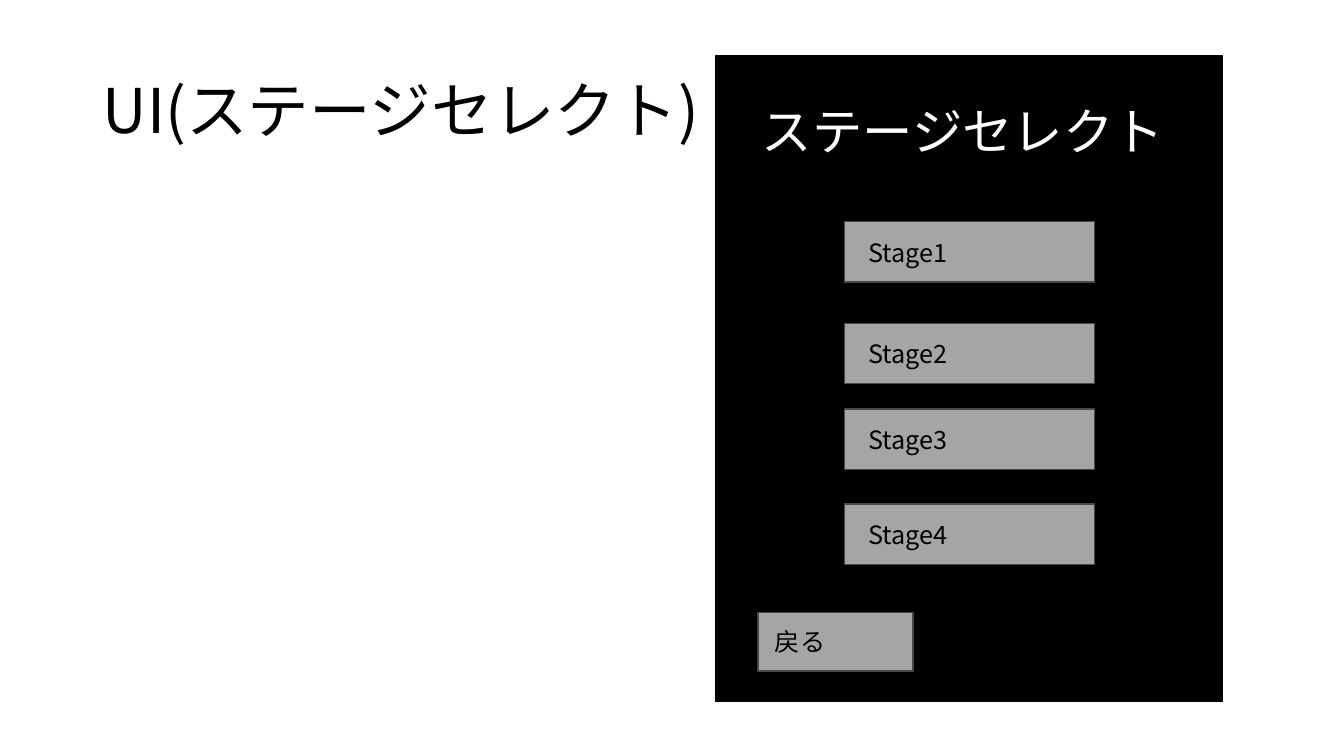
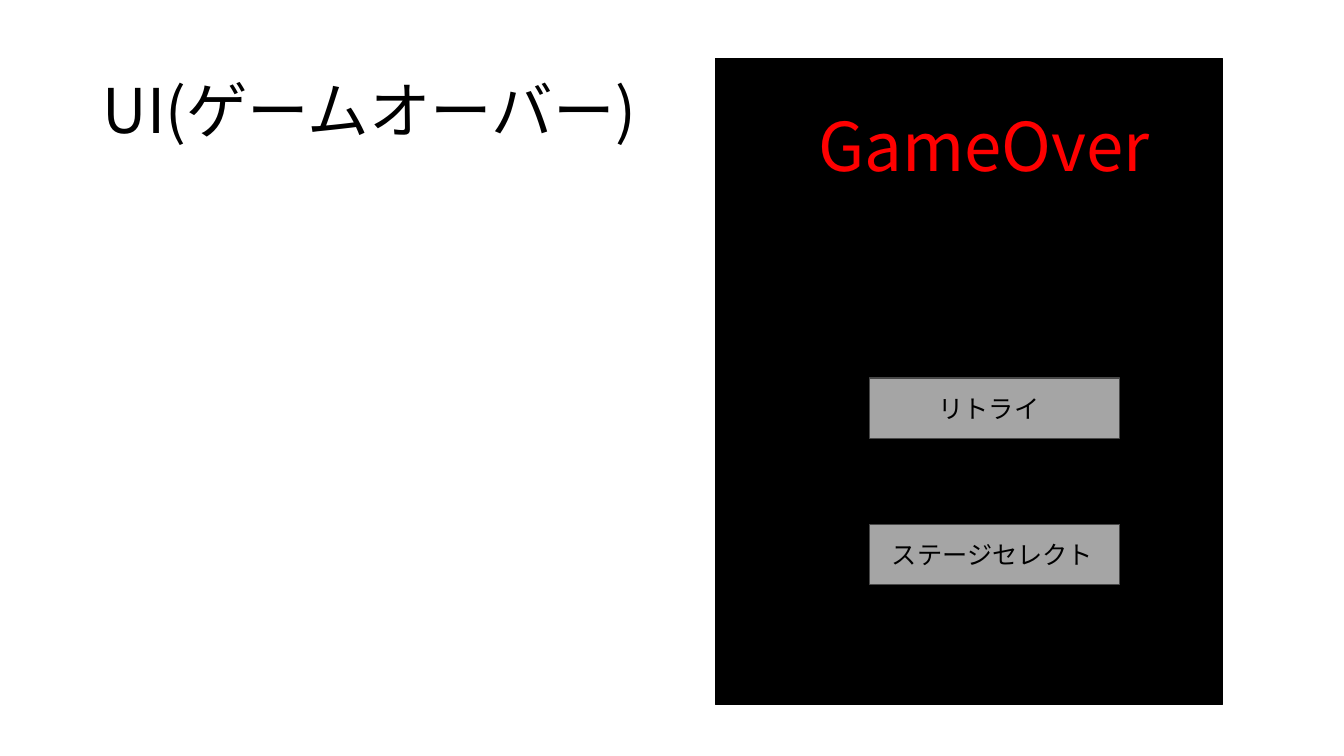
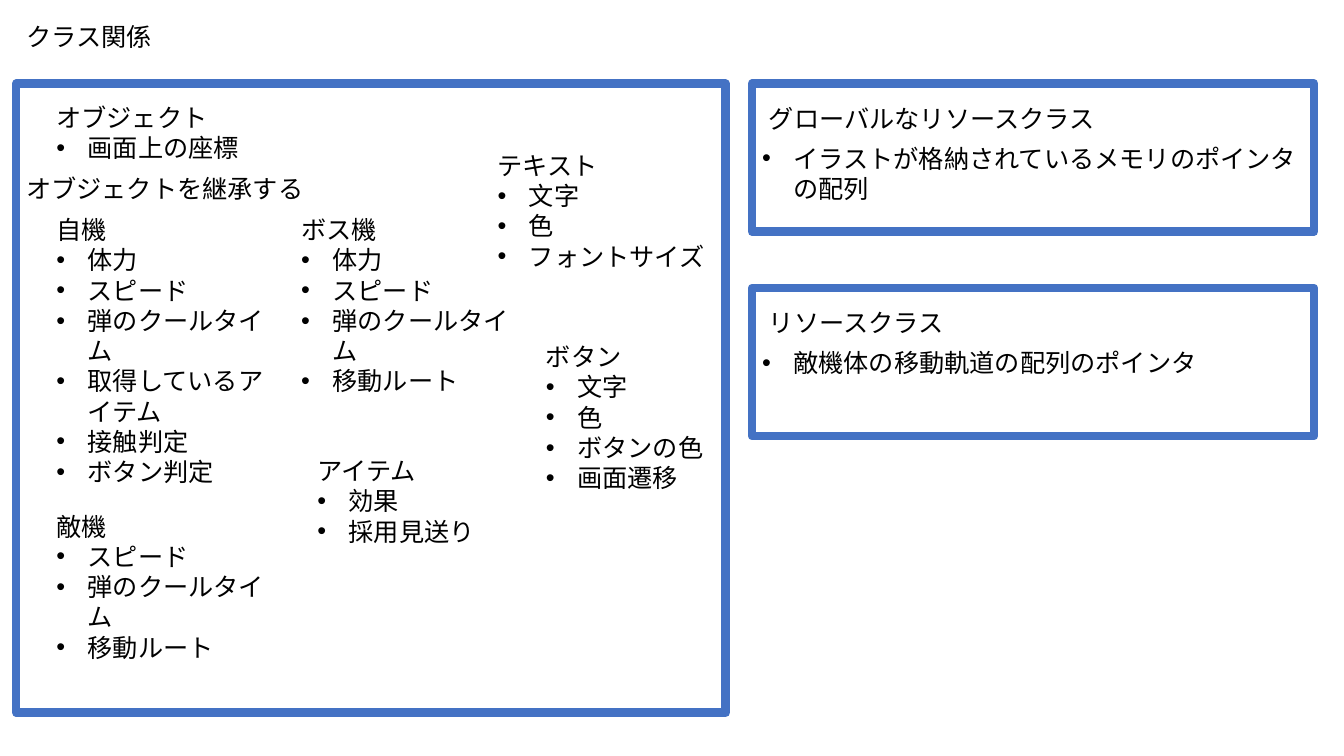
from lxml import etree
from pptx import Presentation
from pptx.dml.color import RGBColor
from pptx.enum.shapes import MSO_SHAPE
from pptx.enum.text import MSO_ANCHOR, MSO_AUTO_SIZE, PP_ALIGN
from pptx.oxml.ns import qn
from pptx.util import Cm, Pt

RECTANGLE = MSO_SHAPE.RECTANGLE
TOP, MIDDLE = MSO_ANCHOR.TOP, MSO_ANCHOR.MIDDLE
FIXED, GROW = MSO_AUTO_SIZE.NONE, MSO_AUTO_SIZE.SHAPE_TO_FIT_TEXT
LEFT = PP_ALIGN.LEFT

TITLE_ONLY, TWO_CONTENT = 5, 3
FONT = "Noto Sans CJK JP"
COLORS = {
    "text": "000000",
    "screen": "000000",
    "screen_text": "FFFFFF",
    "alert": "FF0000",
    "button": "A5A5A5",
    "button_line": "484848",
    "frame": "4472C4",
}


class DeckBuilder:
    """Holds the deck, its style and the slide being filled."""

    def __init__(self):
        self.deck = Presentation()
        self.deck.slide_width, self.deck.slide_height = Cm(33.87), Cm(19.05)
        self.page = None

    def color(self, name):
        return RGBColor.from_string(COLORS[name])

    def place(self, shape, left, top, width, height):
        shape.left, shape.top = Cm(left), Cm(top)
        shape.width, shape.height = Cm(width), Cm(height)

    def style(self, para, size=18, color="text"):
        para.alignment = LEFT
        para.space_before = Pt(0)
        para.font.size = Pt(size)
        para.font.name = FONT
        para.font.color.rgb = self.color(color)
        properties = para._p.get_or_add_pPr().get_or_add_defRPr()
        etree.SubElement(properties, qn("a:ea")).set("typeface", FONT)

    def bullet(self, para):
        properties = para._p.get_or_add_pPr()
        properties.set("marL", str(Cm(0.79)))
        properties.set("indent", str(-Cm(0.79)))
        etree.SubElement(properties, qn("a:buFont")).set("typeface", "Arial")
        etree.SubElement(properties, qn("a:buChar")).set("char", "•")

    def fill_text(self, frame, lines, heading=False, bullets=False):
        """Fill a text frame; a heading is the one line without a bullet."""
        for number, line in enumerate(lines):
            para = frame.add_paragraph() if number else frame.paragraphs[0]
            para.text = line
            if bullets and not (heading and number == 0):
                self.bullet(para)
            self.style(para)

    def slide(self, title, box, size=44, spacing=0.9, anchor=MIDDLE, layout=TITLE_ONLY):
        self.page = self.deck.slides.add_slide(self.deck.slide_layouts[layout])
        shape = self.page.shapes.title
        self.place(shape, *box)
        frame = shape.text_frame
        frame.text = title
        frame.word_wrap, frame.auto_size = True, FIXED
        frame.vertical_anchor = anchor
        frame.paragraphs[0].line_spacing = spacing
        self.style(frame.paragraphs[0], size)

    def rectangle(self, left, top, width, height, fill, line, weight=1):
        shape = self.page.shapes.add_shape(
            RECTANGLE, Cm(left), Cm(top), Cm(width), Cm(height))
        shape.shadow.inherit = False
        if fill:
            shape.fill.solid()
            shape.fill.fore_color.rgb = self.color(fill)
        else:
            shape.fill.background()
        shape.line.color.rgb = self.color(line)
        shape.line.width = Pt(weight)
        return shape

    def screen(self, top):
        self.rectangle(18.03, top, 12.78, 16.28, "screen", "screen")

    def frame(self, left, top, width, height):
        self.rectangle(left, top, width, height, None, "frame", 6)

    def button(self, label, left, top, width=6.3, height=1.52, inset=0.6):
        shape = self.rectangle(left, top, width, height, "button", "button_line")
        frame = shape.text_frame
        frame.margin_left = Cm(inset)
        frame.vertical_anchor = MIDDLE
        frame.word_wrap = True
        self.fill_text(frame, [label])

    def text_box(self, left, top, width, height=1.02):
        box = self.page.shapes.add_textbox(Cm(left), Cm(top), Cm(width), Cm(height))
        box.text_frame.word_wrap = True
        box.text_frame.auto_size = GROW
        return box.text_frame

    def label(self, text, left, top, width, height=1.02, size=18, color="text"):
        para = self.text_box(left, top, width, height).paragraphs[0]
        para.text = text
        self.style(para, size, color)

    def class_list(self, name, members, left, top):
        frame = self.text_box(left, top, 6.17, 1.02 + 0.77 * len(members))
        self.fill_text(frame, [name, *members], heading=True, bullets=True)

    def body_list(self, index, items, left, top, width, height):
        holder = self.page.placeholders[index]
        self.place(holder, left, top, width, height)
        frame = holder.text_frame
        frame.word_wrap, frame.auto_size = True, FIXED
        frame.vertical_anchor = TOP
        self.fill_text(frame, items, bullets=True)


def stage_select(builder):
    builder.slide("UI(ステージセレクト)", (2.34, 1.02, 15.72, 3.68))
    builder.screen(1.4)
    builder.label("ステージセレクト", 18.95, 2.39, 10.97, 1.8, 36, "screen_text")
    for number, top in enumerate((5.59, 8.15, 10.31, 12.7), start=1):
        builder.button(f"Stage{number}", 21.29, top)
    builder.button("戻る", 19.1, 15.44, 3.91, 1.47, inset=0.43)


def game_over(builder):
    builder.slide("UI(ゲームオーバー)", (2.34, 1.02, 29.21, 3.68))
    builder.screen(1.47)
    builder.label("GameOver", 20.37, 2.51, 9.37, 2.31, 48, "alert")
    builder.button("リトライ", 21.92, 9.53, inset=1.73)
    builder.button("ステージセレクト", 21.92, 13.21, inset=0.56)


def class_relations(builder):
    builder.slide("クラス関係", (0.41, 0.41, 3.84, 1.02), size=18, spacing=1.0,
                  anchor=TOP, layout=TWO_CONTENT)

    # Object class and the classes that inherit from it
    builder.frame(0.41, 2.11, 17.88, 15.85)
    builder.label("オブジェクトを継承する", 0.41, 4.24, 7.98)
    shot, route = "弾のクールタイム", "移動ルート"
    classes = [
        ("オブジェクト", ["画面上の座標"], 1.17, 2.46),
        ("自機", ["体力", "スピード", shot, "取得しているアイテム",
                "接触判定", "ボタン判定"], 1.17, 5.28),
        ("敵機", ["スピード", shot, route], 1.17, 12.75),
        ("ボス機", ["体力", "スピード", shot, route], 7.34, 5.28),
        ("テキスト", ["文字", "色", "フォントサイズ"], 12.29, 3.66),
        ("アイテム", ["効果", "採用見送り"], 7.75, 11.35),
        ("ボタン", ["文字", "色", "ボタンの色", "画面遷移"], 13.51, 8.48),
    ]
    for name, members, left, top in classes:
        builder.class_list(name, members, left, top)

    # Resource classes
    resources = [
        ("グローバルなリソースクラス", "イラストが格納されているメモリのポインタの配列", 2.11),
        ("リソースクラス", "敵機体の移動軌道の配列のポインタ", 7.26),
    ]
    for index, (name, member, top) in enumerate(resources, start=1):
        builder.frame(18.95, top, 14.17, 3.73)
        builder.label(name, 19.13, top + 0.36, 8.86)
        builder.body_list(index, [member], 18.95, top + 1.37, 14.5, 1.8)


def main():
    builder = DeckBuilder()
    stage_select(builder)
    game_over(builder)
    class_relations(builder)
    builder.deck.save("out.pptx")


if __name__ == "__main__":
    main()
